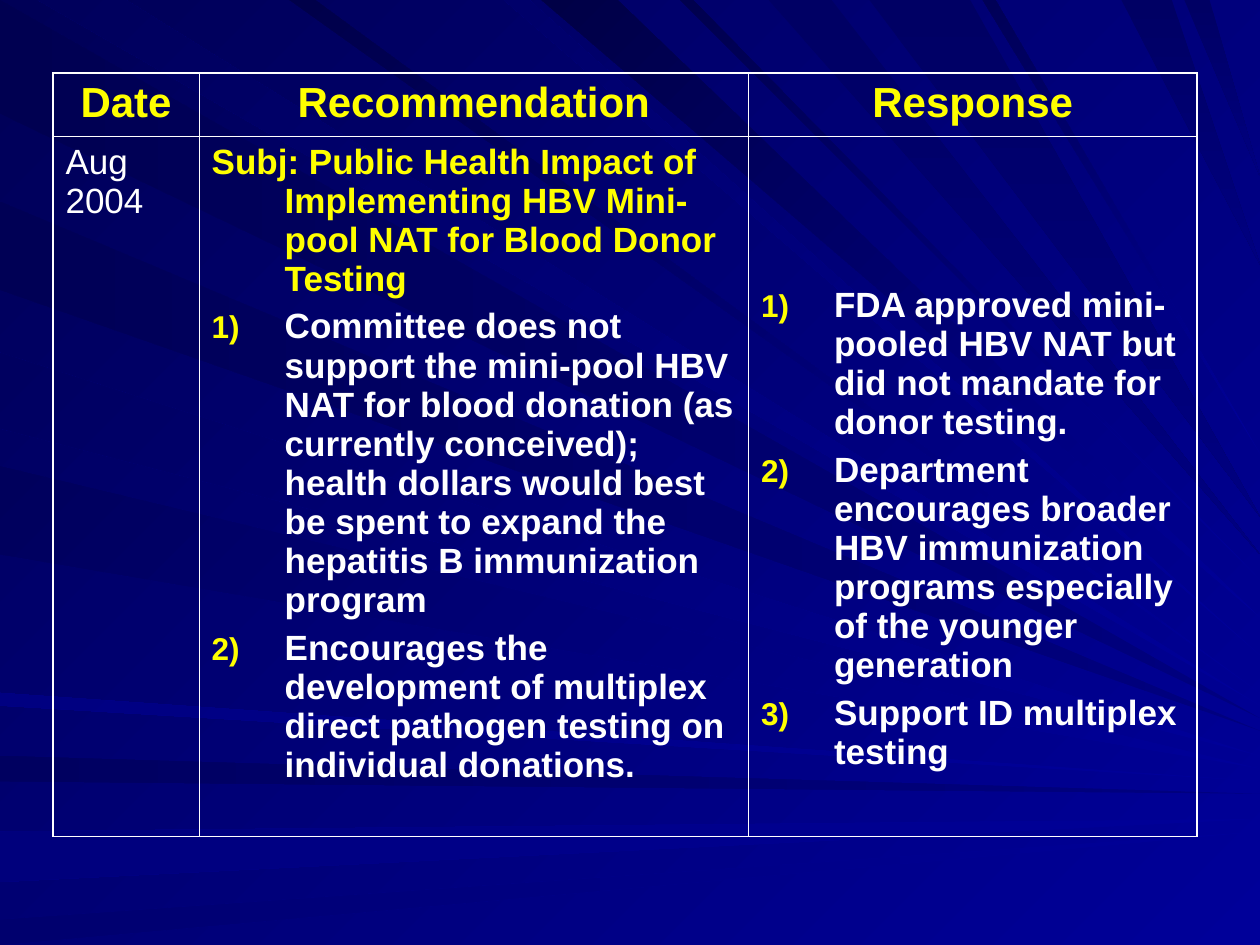
from lxml.etree import SubElement
from pptx import Presentation
from pptx.dml.color import RGBColor
from pptx.enum.text import PP_ALIGN
from pptx.oxml import parse_xml
from pptx.oxml.ns import nsdecls, qn
from pptx.util import Inches, Pt

WHITE, YELLOW = "FFFFFF", "FFFF00"


def paint(fill, start, end, angle):
    """Apply a two-stop gradient turned clockwise by angle."""
    fill.gradient()
    fill.gradient_angle = 360 - angle
    for stop, color in zip(fill.gradient_stops, (start, end)):
        stop.color.rgb = RGBColor.from_string(color)


def write(tf, text, size=20, color=WHITE, bold=True, align=PP_ALIGN.LEFT,
          hanging=False, numbered=False):
    """Add one paragraph, reusing the empty first one."""
    first = not tf.paragraphs[0].runs
    p = tf.paragraphs[0] if first else tf.add_paragraph()
    pPr = p._p.get_or_add_pPr()
    if hanging:
        pPr.set("marL", str(Inches(0.58)))
        pPr.set("indent", str(-Inches(0.58)))
    if numbered:
        bullet_color = SubElement(pPr, qn("a:buClr"))
        SubElement(bullet_color, qn("a:srgbClr"), val=YELLOW)
        SubElement(pPr, qn("a:buSzPct"), val="90000")
        SubElement(pPr, qn("a:buFont"), typeface="Arial")
        SubElement(pPr, qn("a:buAutoNum"), type="arabicParenR")
    p.alignment = align
    p.space_before = Pt(0 if first else 5)
    r = p.add_run()
    r.text = text
    r.font.name, r.font.size, r.font.bold = "Arial", Pt(size), bold
    r.font.color.rgb = RGBColor.from_string(color)


prs = Presentation()
prs.slide_width, prs.slide_height = Inches(10), Inches(7.5)
s = prs.slides.add_slide(prs.slide_layouts[6])
paint(s.background.fill, "000099", "000057", 225)

# Each ray runs from a stretch of the left or top edge to a tip on the right edge:
# stretch start, stretch end, tip height, gradient end colour
ray_groups = [
    ("left", "000080", 180, [(0, 0.9, 5.7, "000051"), (6, 6.2, 6.3, "000060")]),
    ("top", "000099", 225, [(0.3, 1, 5.6, "00005C")]),
    ("left", "000099", 180, [(6.6, 7, 6.5, "00007C"), (7.3, 7.5, 6.6, "00006E")]),
    ("left", "000080", 180, [(1.6, 2.3, 5.8, "000055")]),
    ("top", "000099", 225, [(4, 4.2, 5.2, "00006A"), (4.3, 4.9, 4.9, "000046"),
                            (5.4, 5.5, 4.6, "00004E")]),
    ("top", "000064", 90, [(6.1, 6.6, 4.4, "000080"), (6.9, 7.7, 4.1, "000080"),
                           (8.9, 9.3, 2.1, "000080"), (9.4, 9.6, 1.4, "000080")]),
    ("left", "000099", 225, [(2.8, 3.4, 6, "000060"), (3.7, 4.4, 6.1, "00005C"),
                             (5.5, 5.6, 6.2, "000081")]),
    ("top", "000099", 225, [(2.3, 2.5, 5.5, "00004A"), (7.8, 7.9, 3.6, "000057")]),
]
for edge, start_color, angle, rays in ray_groups:
    for start, end, tip, end_color in rays:
        base = [(0, start), (0, end)] if edge == "left" else [(start, 0), (end, 0)]
        points = [(Inches(x), Inches(y)) for x, y in base + [(10, tip)]]
        outline = s.shapes.build_freeform(*points[0])
        outline.add_line_segments(points[1:], close=True)
        sp = outline.convert_to_shape()
        sp.shadow.inherit = False
        sp.line.fill.background()
        paint(sp.fill, start_color, end_color, angle)

# Table frame
widths, heights = [1.16, 4.36, 3.56], [0.5, 5.56]
table = s.shapes.add_table(len(heights), len(widths), Inches(0.42), Inches(0.58),
                           Inches(sum(widths)), Inches(sum(heights))).table
table.first_row = table.horz_banding = False
for column, width in zip(table.columns, widths):
    column.width = Inches(width)
for row, height in zip(table.rows, heights):
    row.height = Inches(height)

last_row, last_col = len(heights) - 1, len(widths) - 1
for i, row in enumerate(table.rows):
    for j, cell in enumerate(row.cells):
        cell.margin_left = cell.margin_right = Inches(0.1)
        cell.margin_top = cell.margin_bottom = Inches(0.05)
        cell.fill.background()
        outer_edges = {"lnL": j == 0, "lnR": j == last_col,
                       "lnT": i == 0, "lnB": i == last_row}
        for k, (side, outer) in enumerate(outer_edges.items()):
            border = parse_xml(
                f'<a:{side} {nsdecls("a")} w="{Pt(1.08 if outer else 0.45)}"><a:solidFill>'
                f'<a:srgbClr val="{WHITE}"/></a:solidFill></a:{side}>')
            cell._tc.get_or_add_tcPr().insert(k, border)

# Table text
for j, heading in enumerate(["Date", "Recommendation", "Response"]):
    write(table.cell(0, j).text_frame, heading, size=24, color=YELLOW,
          align=PP_ALIGN.CENTER)

date, recommendation, response = table.rows[1].cells
write(date.text_frame, "Aug 2004", bold=False)
write(recommendation.text_frame, "Subj: Public Health Impact of Implementing HBV "
      "Mini-pool NAT for Blood Donor Testing", color=YELLOW, hanging=True)
response.margin_top = Inches(1.19)

numbered_items = [
    (recommendation, [
        "Committee does not support the mini-pool HBV NAT for blood donation "
        "(as currently conceived); health dollars would best be spent to expand "
        "the hepatitis B immunization program",
        "Encourages the development of multiplex direct pathogen testing on "
        "individual donations."]),
    (response, [
        "FDA approved mini-pooled HBV NAT but did not mandate for donor testing.",
        "Department encourages broader HBV immunization programs especially of "
        "the younger generation",
        "Support ID multiplex testing"]),
]
for cell, items in numbered_items:
    for item in items:
        write(cell.text_frame, item, hanging=True, numbered=True)

prs.save("out.pptx")
